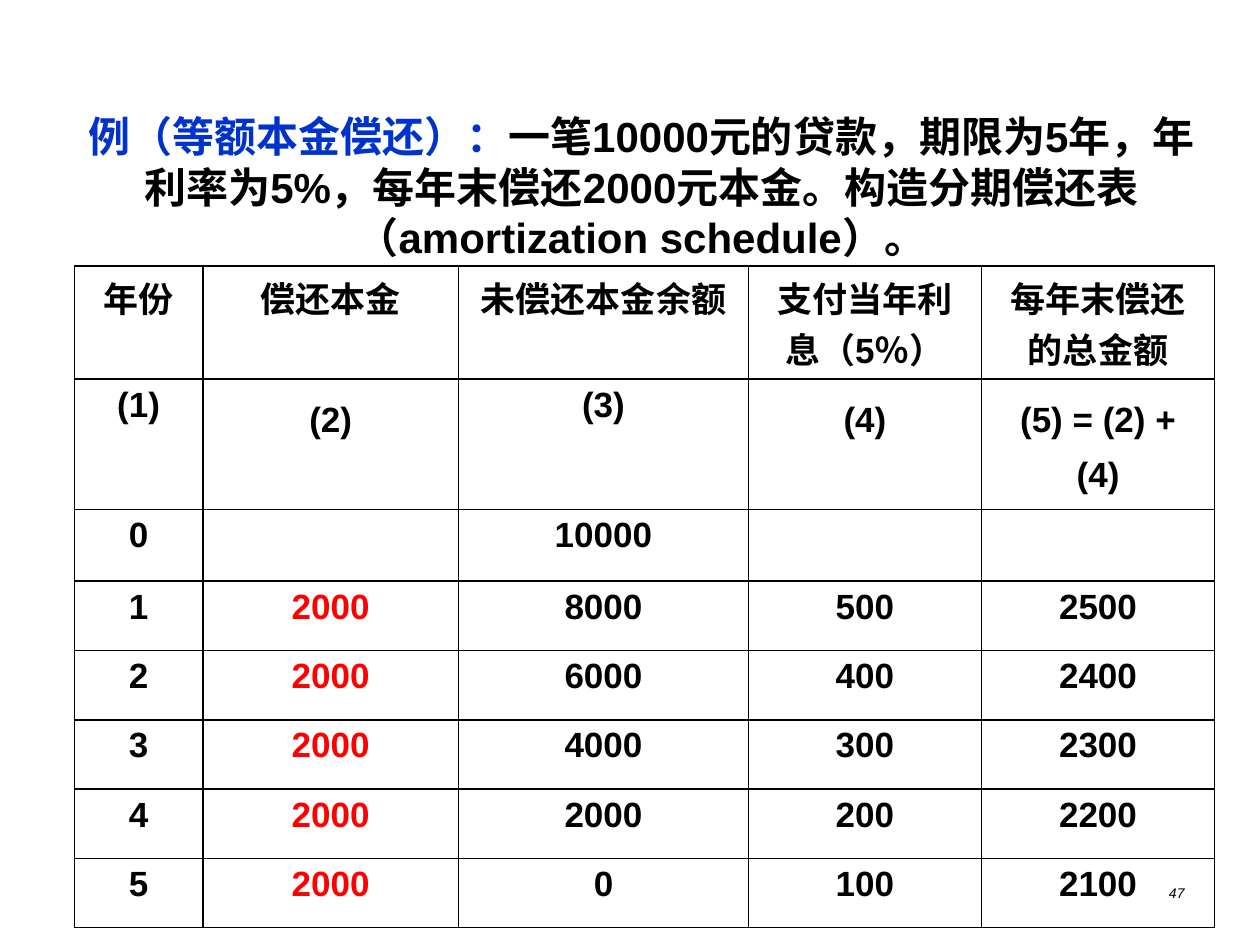
from lxml import etree
from pptx import Presentation
from pptx.dml.color import RGBColor
from pptx.enum.text import MSO_ANCHOR, PP_ALIGN
from pptx.oxml.ns import qn
from pptx.util import Inches, Pt

CENTER, RIGHT = PP_ALIGN.CENTER, PP_ALIGN.RIGHT
TOP, MIDDLE = MSO_ANCHOR.TOP, MSO_ANCHOR.MIDDLE
FONT = "Arial"
BLACK, BLUE, RED = "000000", "0033CC", "FF0000"

COLUMN_WIDTHS = [1.02, 2.03, 2.3, 1.85, 1.85]
ROW_HEIGHTS = [0.9, 0.97, 0.57] + [0.55] * 5
HEADINGS = ["年份", "偿还本金", "未偿还本金余额", "支付当年利息（5％）", "每年末偿还的总金额"]
FORMULAS = ["(1)", "(2)", "(3)", "(4)", "(5) = (2) + (4)"]
SPACED_FORMULAS = ("(2)", "(4)", "(5) = (2) + (4)")
PAYMENTS = [
    ["0", "", "10000", "", ""],
    ["1", "2000", "8000", "500", "2500"],
    ["2", "2000", "6000", "400", "2400"],
    ["3", "2000", "4000", "300", "2300"],
    ["4", "2000", "2000", "200", "2200"],
    ["5", "2000", "0", "100", "2100"],
]


def rgb(color):
    """Turn a hex string into a colour."""
    return RGBColor.from_string(color)


def add_span(para, text, size=20, color=BLACK, bold=True, italic=False):
    """Append a formatted run to a paragraph."""
    span = para.add_run()
    span.text = text
    font = span.font
    font.name, font.size = FONT, Pt(size)
    font.bold, font.italic = bold, italic
    font.color.rgb = rgb(color)


def add_box(page, left, top, width, height, align, anchor):
    """Add a wrapping text box and return its paragraph."""
    box = page.shapes.add_textbox(Inches(left), Inches(top), Inches(width), Inches(height))
    frame = box.text_frame
    frame.word_wrap = True
    frame.vertical_anchor = anchor
    para = frame.paragraphs[0]
    para.alignment = align
    return para


def add_borders(cell, color=BLACK, width=1):
    """Draw a solid line on all four sides of a cell."""
    properties = cell._tc.get_or_add_tcPr()
    for position, side in enumerate(("lnL", "lnR", "lnT", "lnB")):
        line = etree.Element(qn(f"a:{side}"), w=str(Pt(width)))
        fill = etree.SubElement(line, qn("a:solidFill"))
        etree.SubElement(fill, qn("a:srgbClr"), val=color)
        properties.insert(position, line)


def fill_cell(cell, text, color):
    """Write one table cell."""
    cell.fill.background()
    add_borders(cell)
    para = cell.text_frame.paragraphs[0]
    para.alignment = CENTER
    if text in SPACED_FORMULAS:
        para.line_spacing = 1.4
        para.space_before = Pt(4)
    if text:
        add_span(para, text, color=color)


def add_schedule(page, left, top):
    """Add the amortization table."""
    rows = [HEADINGS, FORMULAS] + PAYMENTS
    table = page.shapes.add_table(
        len(rows), len(COLUMN_WIDTHS), Inches(left), Inches(top),
        Inches(sum(COLUMN_WIDTHS)), Inches(sum(ROW_HEIGHTS))).table
    table.first_row = table.horz_banding = False
    for column, width in zip(table.columns, COLUMN_WIDTHS):
        column.width = Inches(width)
    for row, height, texts in zip(table.rows, ROW_HEIGHTS, rows):
        row.height = Inches(height)
        for index, (cell, text) in enumerate(zip(row.cells, texts)):
            is_principal = index == 1 and texts in PAYMENTS
            fill_cell(cell, text, RED if is_principal else BLACK)


def main():
    """Build the slide."""
    deck = Presentation()
    deck.slide_width, deck.slide_height = Inches(10), Inches(7.5)
    page = deck.slides.add_slide(deck.slide_layouts[6])

    number = add_box(page, 7.17, 6.83, 2.33, 0.52, RIGHT, MIDDLE)
    add_span(number, "47", size=8, bold=False, italic=True)

    title = add_box(page, 0.59, 0.83, 9, 1.25, CENTER, TOP)
    add_span(title, "例（等额本金偿还）：", size=24, color=BLUE)
    add_span(title, "一笔10000元的贷款，期限为5年，年利率为5%，每年末偿还2000元本金。"
                    "构造分期偿还表（amortization schedule）。", size=24)

    add_schedule(page, 0.59, 2.11)
    deck.save("out.pptx")


if __name__ == "__main__":
    main()
